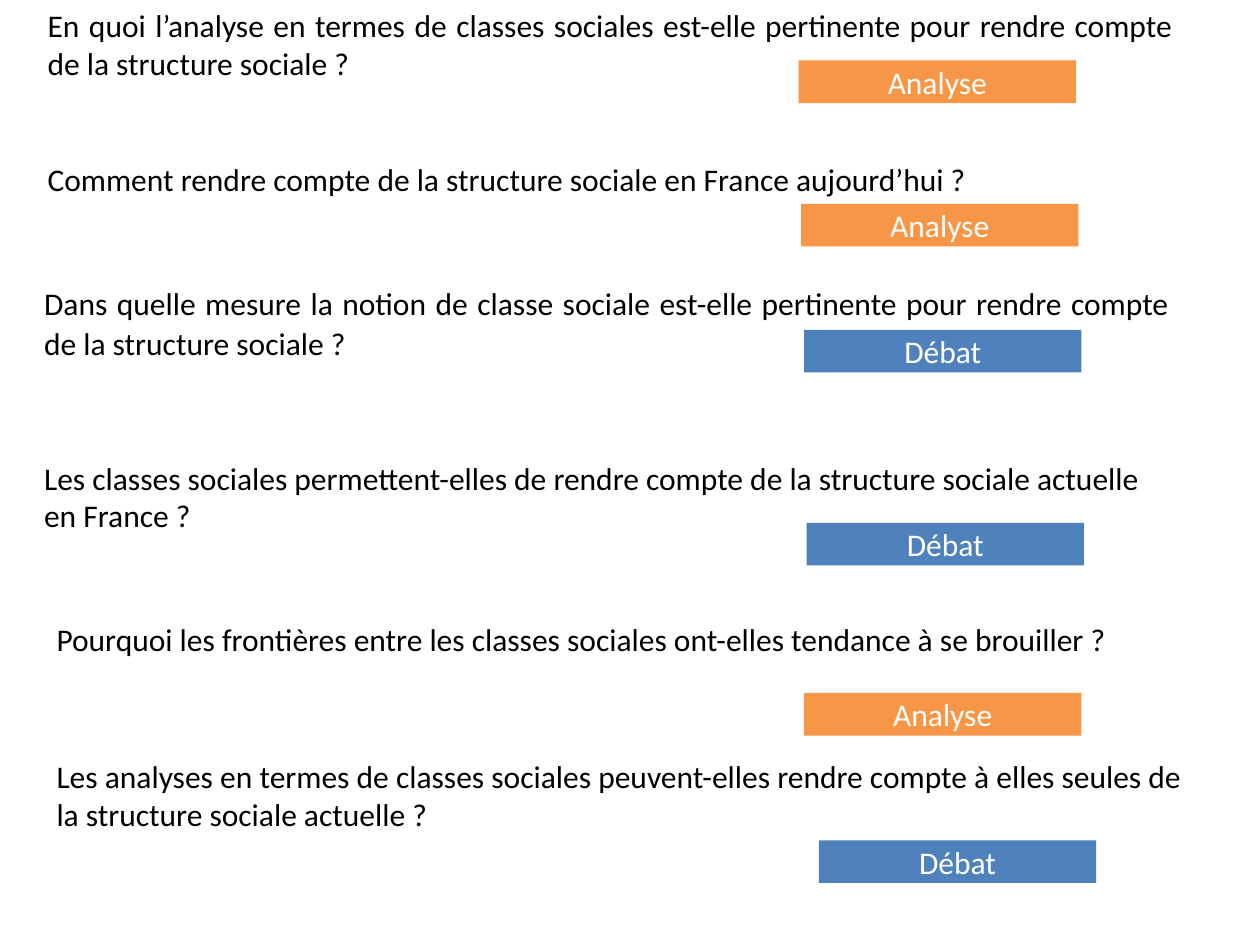
from pptx import Presentation
from pptx.dml.color import RGBColor
from pptx.enum.shapes import MSO_SHAPE as Shape
from pptx.enum.text import MSO_ANCHOR as Anchor, MSO_AUTO_SIZE as AutoSize, PP_ALIGN as Align
from pptx.util import Cm, Pt


def color(value):
    return RGBColor.from_string(value)


def add_text(para, text, text_color):
    span = para.add_run()
    span.text = text
    span.font.name = "Calibri"
    span.font.size = Pt(18)
    span.font.color.rgb = color(text_color)


deck = Presentation()
deck.slide_width = Cm(25.4)
deck.slide_height = Cm(19.05)
page = deck.slides.add_slide(deck.slide_layouts[6])

questions = [
    ("En quoi l’analyse en termes de classes sociales est-elle pertinente pour rendre compte de la structure sociale ?",
     0.71, 0, 1.8, Align.JUSTIFY, "Analyse", 16.1, 1.22),
    ("Comment rendre compte de la structure sociale en France aujourd’hui ?",
     0.71, 3.1, 1.02, Align.LEFT, "Analyse", 16.15, 4.11),
    ("Dans quelle mesure la notion de classe sociale est-elle pertinente pour rendre compte de la structure sociale ?",
     0.64, 5.54, 1.85, Align.JUSTIFY, "Débat", 16.21, 6.65),
    ("Les classes sociales permettent-elles de rendre compte de la structure sociale actuelle en France ?",
     0.64, 9.12, 1.8, Align.LEFT, "Débat", 16.26, 10.54),
    ("Pourquoi les frontières entre les classes sociales ont-elles tendance à se brouiller ?",
     0.89, 12.37, 1.02, Align.JUSTIFY, "Analyse", 16.21, 13.97),
    ("Les analyses en termes de classes sociales peuvent-elles rendre compte à elles seules de la structure sociale actuelle ?",
     0.89, 15.14, 1.8, Align.JUSTIFY, "Débat", 16.51, 16.94),
]
tag_colors = {"Analyse": "F79646", "Débat": "4F81BD"}

for question, left, top, height, align, tag, tag_left, tag_top in questions:
    box = page.shapes.add_textbox(Cm(left), Cm(top), Cm(23.19), Cm(height))
    box.text_frame.word_wrap = True
    box.text_frame.auto_size = AutoSize.SHAPE_TO_FIT_TEXT
    para = box.text_frame.paragraphs[0]
    para.alignment = align
    if question.startswith("Dans"):
        para.line_spacing = 1.07
        para.space_after = Pt(8)
    add_text(para, question, "000000")

    label = page.shapes.add_shape(Shape.RECTANGLE, Cm(tag_left), Cm(tag_top), Cm(5.59), Cm(0.86))
    label.shadow.inherit = False
    label.fill.solid()
    label.fill.fore_color.rgb = color(tag_colors[tag])
    label.line.fill.background()
    label.text_frame.vertical_anchor = Anchor.MIDDLE
    para = label.text_frame.paragraphs[0]
    para.alignment = Align.CENTER
    add_text(para, tag, "FFFFFF")

deck.save("out.pptx")
